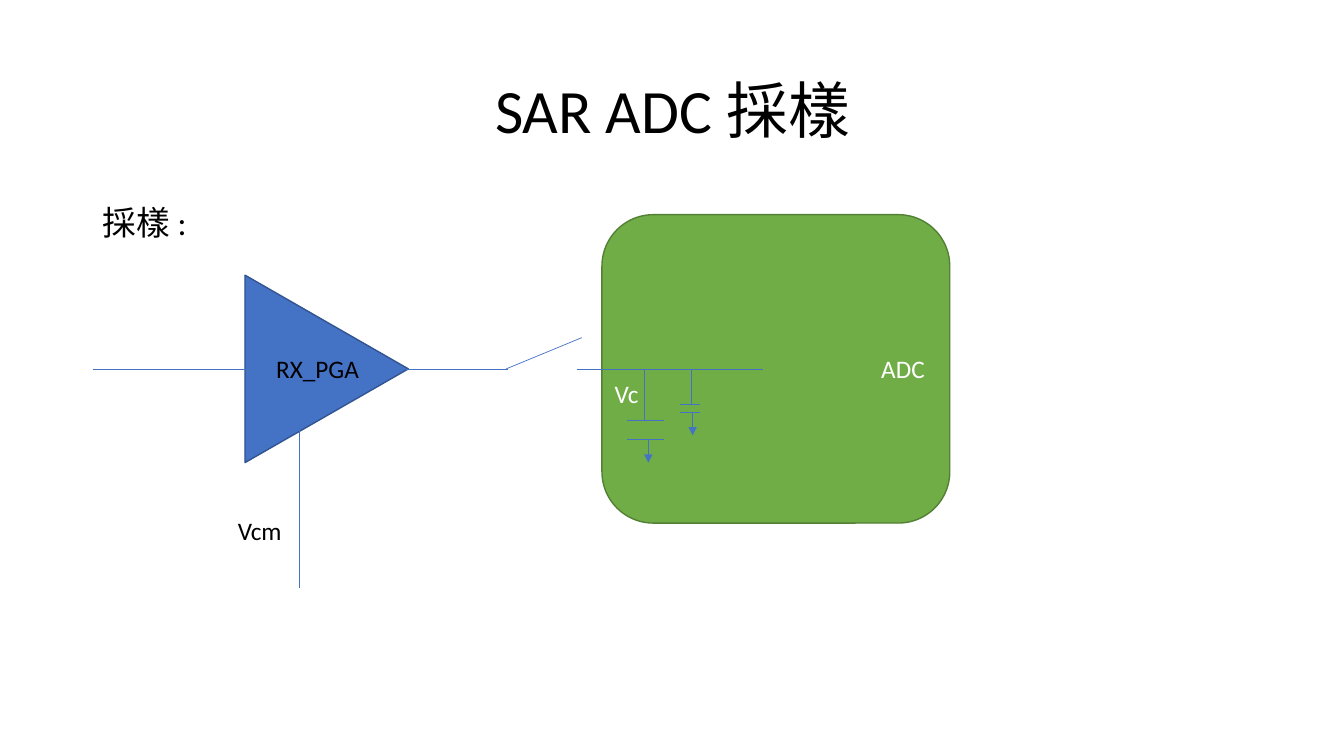
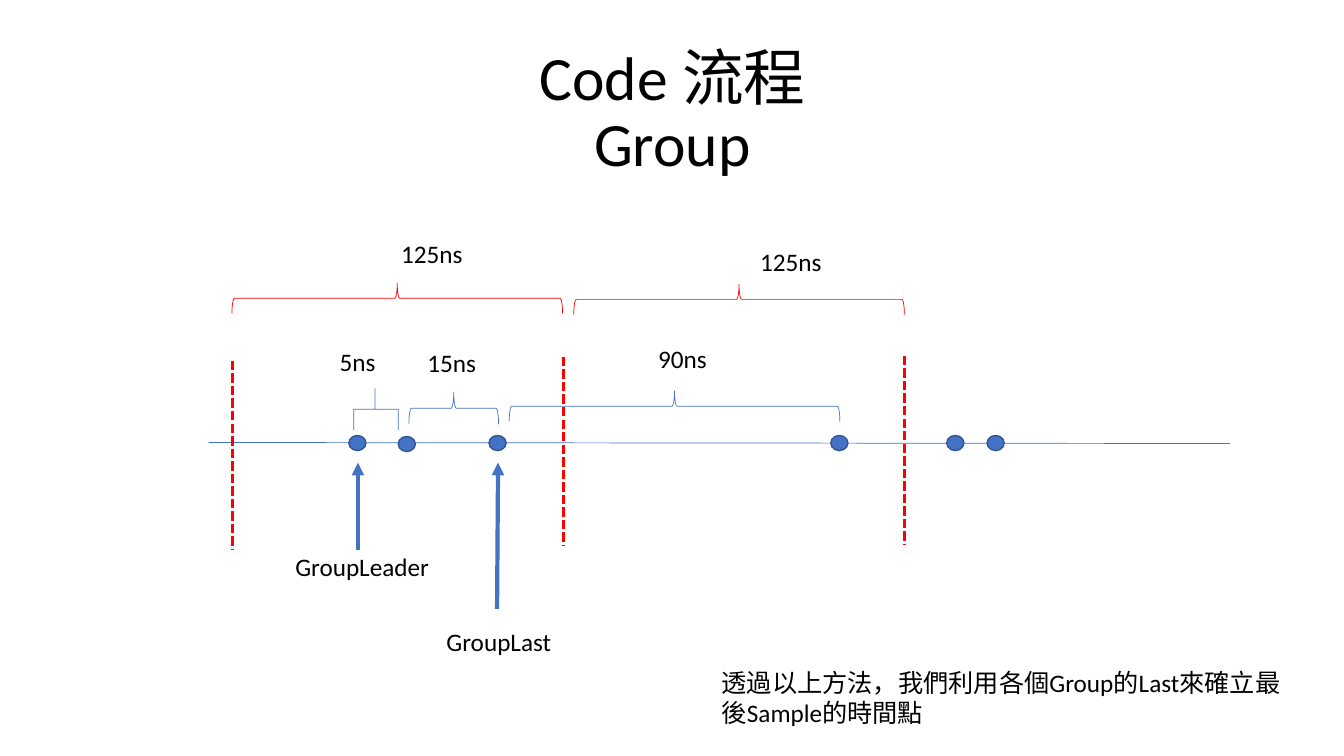
"""Build two slides on SAR ADC sampling and the timing of sample groups."""
from dataclasses import dataclass
from lxml.etree import SubElement
from pptx import Presentation
from pptx.dml.color import RGBColor
from pptx.enum.dml import MSO_LINE
from pptx.enum.shapes import MSO_CONNECTOR, MSO_SHAPE
from pptx.enum.text import MSO_ANCHOR, MSO_AUTO_SIZE, PP_ALIGN
from pptx.oxml.ns import qn
from pptx.util import Inches, Pt


@dataclass(frozen=True)
class Theme:
    font: str = "Calibri"
    blue: str = "4472C4"
    blue_edge: str = "325491"
    green: str = "70AD47"
    green_edge: str = "538035"
    red: str = "FF0000"
    black: str = "000000"
    white: str = "FFFFFF"
    title_size: int = 44
    body_size: int = 24
    label_size: int = 18
    thin: float = 0.5
    edge: float = 1
    dash: float = 2.25
    thick: float = 3


THEME = Theme()
SLIDE_SIZE = (13.33, 7.5)
TITLE_BOX = (0.92, 0.4, 11.5, 1.45)
BODY_BOX = (0.92, 2, 11.5, 4.76)
LABEL_HEIGHT = 0.4

SAMPLING_TITLE = "SAR ADC 採樣"
SAMPLING_BODY = "採樣 :"
AMPLIFIER_BOX = (2.31, 2.85, 1.86, 1.62)
ADC_BOX = (5.97, 2.13, 3.45, 3.06)
VC_BOX = (5.85, 3.66, 0.73, 0.49)
SIGNAL_Y = 3.66
SIGNAL_SPANS = [(0.92, 2.44), (4.03, 5.04), (5.72, 6.86), (6.86, 7.57)]
SWITCH = (5.02, SIGNAL_Y, 5.77, 3.35)
VCM_WIRE = (2.97, 4.18, 2.97, 5.83)
CAPACITORS = [
    {"stem": 6.39, "ground": 6.43, "plate": (6.22, 6.59), "top": 4.17, "gap": 0.19},
    {"stem": 6.86, "ground": 6.87, "plate": (6.74, 6.94), "top": 4.01, "gap": 0.08},
]
GROUND_LENGTH = 0.23
SAMPLING_LABELS = [("RX_PGA", 2.64, 3.46, 1.21), ("Vcm", 2.26, 5.06, 1.18)]

GROUP_TITLE = "Code 流程\vGroup"
TIME_AXIS = (2.07, 4.39, 12.2, 4.4)
SAMPLE_SIZE = (0.17, 0.15)
SAMPLES = [(3.46, 4.32), (3.95, 4.33), (4.85, 4.32), (8.24, 4.32), (9.39, 4.32), (9.79, 4.32)]
PERIOD_MARKS = [(2.31, 3.58), (5.59, 3.54), (8.97, 3.53)]
PERIOD_MARK_LENGTH = 1.88
BRACES = [
    (3.73, 4.06, 0.44, 0.41, THEME.blue, (0, 0.478)),
    (4.5, 4.05, 0.89, 0.32, THEME.blue, None),
    (6.69, 4.03, 3.28, 0.3, THEME.blue, None),
    (7.33, 2.97, 3.28, 0.3, THEME.red, None),
    (3.94, 2.96, 3.28, 0.3, THEME.red, None),
]
GROUP_ARROWS = [(3.55, 5.46, 3.55, 4.59), (4.93, 6.04, 4.94, 4.59)]
GROUP_LABELS = [
    ("125ns", 3.88, 2.32, 0.98),
    ("125ns", 7.44, 2.39, 0.98),
    ("5ns", 3.27, 3.39, 0.98),
    ("15ns", 4.14, 3.4, 0.98),
    ("90ns", 6.43, 3.36, 0.98),
    ("GroupLeader", 2.83, 5.42, 1.61),
    ("GroupLast", 4.33, 6.16, 1.61),
    ("透過以上方法，我們利用各個Group的Last來確立最後Sample的時間點", 7.06, 6.57, 5.81),
]


def inches(values):
    return [Inches(value) for value in values]


def write(shape, text, size, color=THEME.black, align=None, anchor=None):
    frame = shape.text_frame
    frame.text = text
    frame.word_wrap = True
    frame.auto_size = MSO_AUTO_SIZE.NONE
    if anchor is not None:
        frame.vertical_anchor = anchor
    for para in frame.paragraphs:
        para.alignment = align
        for span in para.runs:
            span.font.name = THEME.font
            span.font.size = Pt(size)
            span.font.color.rgb = RGBColor.from_string(color)
    return frame.paragraphs[0]


def fill_placeholder(shape, box, text, size, **style):
    shape.left, shape.top, shape.width, shape.height = inches(box)
    para = write(shape, text, size, **style)
    para.line_spacing = 0.9
    return para


def start_slide(deck, layout, title):
    page = deck.slides.add_slide(deck.slide_layouts.get_by_name(layout))
    para = fill_placeholder(page.shapes.title, TITLE_BOX, title, THEME.title_size,
                            align=PP_ALIGN.CENTER, anchor=MSO_ANCHOR.MIDDLE)
    para.space_before = Pt(0)
    return page


def add_label(page, text, left, top, width):
    box = page.shapes.add_textbox(*inches((left, top, width, LABEL_HEIGHT)))
    write(box, text, THEME.label_size)


def add_line(page, ends, color=THEME.blue, width=THEME.thin, dash=None, arrow=False):
    line = page.shapes.add_connector(MSO_CONNECTOR.STRAIGHT, *inches(ends))
    line.line.color.rgb = RGBColor.from_string(color)
    line.line.width = Pt(width)
    if dash is not None:
        line.line.dash_style = dash
    properties = line._element.spPr
    if arrow:
        SubElement(properties.find(qn("a:ln")), qn("a:tailEnd"), type="triangle")
    SubElement(properties, qn("a:effectLst"))


def add_preset(page, preset, box, fill=None, edge=None, width=THEME.edge, rotation=0):
    shape = page.shapes.add_shape(preset, *inches(box))
    shape.shadow.inherit = False
    shape.rotation = rotation
    if fill is None:
        shape.fill.background()
    else:
        shape.fill.solid()
        shape.fill.fore_color.rgb = RGBColor.from_string(fill)
    if edge is None:
        shape.line.fill.background()
    else:
        shape.line.color.rgb = RGBColor.from_string(edge)
        shape.line.width = Pt(width)
    return shape


def add_brace(page, center_x, center_y, span, depth, color, adjustments):
    box = (center_x - depth / 2, center_y - span / 2, depth, span)
    brace = add_preset(page, MSO_SHAPE.RIGHT_BRACE, box, edge=color, width=THEME.thin, rotation=270)
    for index, value in enumerate(adjustments or ()):
        brace.adjustments[index] = value


def add_capacitor(page, stem, ground, plate, top, gap):
    left, right = plate
    bottom = top + gap
    add_line(page, (stem, SIGNAL_Y, stem, top))
    for y in (top, bottom):
        add_line(page, (left, y, right, y))
    add_line(page, (ground, bottom, ground, bottom + GROUND_LENGTH), arrow=True)


def build_sampling(deck):
    page = start_slide(deck, "Title and Content", SAMPLING_TITLE)
    para = fill_placeholder(page.placeholders[1], BODY_BOX, SAMPLING_BODY, THEME.body_size)
    para.space_before = Pt(10)
    properties = para._p.get_or_add_pPr()
    properties.set("marL", "0")
    properties.set("indent", "0")
    SubElement(properties, qn("a:buNone"))
    add_preset(page, MSO_SHAPE.ISOSCELES_TRIANGLE, AMPLIFIER_BOX, THEME.blue, THEME.blue_edge, rotation=90)
    adc = add_preset(page, MSO_SHAPE.ROUNDED_RECTANGLE, ADC_BOX, THEME.green, THEME.green_edge)
    write(adc, "ADC", THEME.label_size, THEME.white, PP_ALIGN.RIGHT, MSO_ANCHOR.MIDDLE)
    for start, end in SIGNAL_SPANS:
        add_line(page, (start, SIGNAL_Y, end, SIGNAL_Y))
    for ends in (SWITCH, VCM_WIRE):
        add_line(page, ends)
    for capacitor in CAPACITORS:
        add_capacitor(page, **capacitor)
    vc = add_preset(page, MSO_SHAPE.ROUNDED_RECTANGLE, VC_BOX)
    write(vc, "Vc", THEME.label_size, THEME.white, PP_ALIGN.CENTER, MSO_ANCHOR.MIDDLE)
    for label in SAMPLING_LABELS:
        add_label(page, *label)


def build_group(deck):
    page = start_slide(deck, "Title Only", GROUP_TITLE)
    add_line(page, TIME_AXIS)
    for corner in SAMPLES:
        add_preset(page, MSO_SHAPE.OVAL, corner + SAMPLE_SIZE, THEME.blue, THEME.blue_edge)
    for brace in BRACES:
        add_brace(page, *brace)
    for x, top in PERIOD_MARKS:
        add_line(page, (x, top, x, top + PERIOD_MARK_LENGTH), THEME.red, THEME.dash, MSO_LINE.SQUARE_DOT)
    for ends in GROUP_ARROWS:
        add_line(page, ends, width=THEME.thick, arrow=True)
    for label in GROUP_LABELS:
        add_label(page, *label)


deck = Presentation()
deck.slide_width, deck.slide_height = inches(SLIDE_SIZE)
build_sampling(deck)
build_group(deck)
deck.save("out.pptx")
